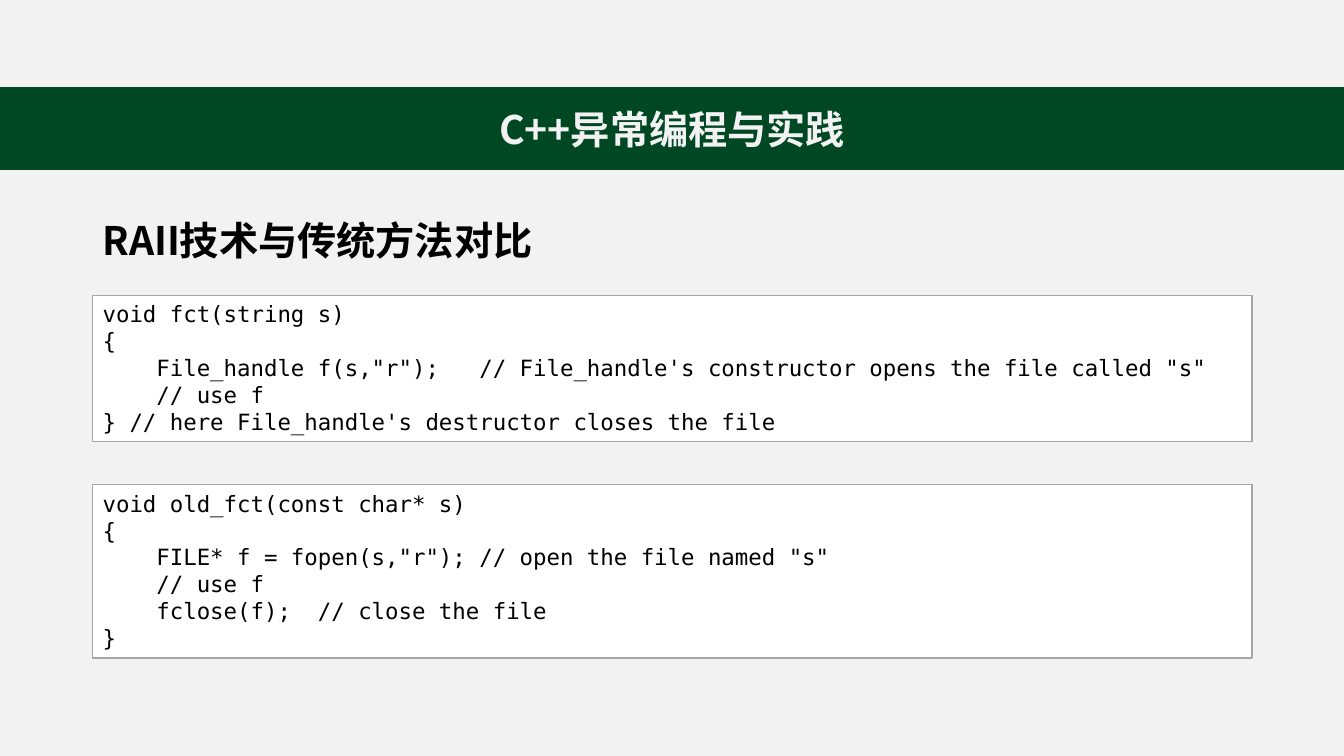
"""Build a slide that sets RAII beside the older way of handling files in C++."""
from lxml import etree
from pptx import Presentation, util as u
from pptx.dml.color import RGBColor
from pptx.enum import text as t
from pptx.oxml.ns import qn

WIDE, HIGH = u.Inches(13.33), u.Inches(7.5)
GREEN = RGBColor(0x00, 0x47, 0x23)
PALE = RGBColor(0xF2, 0xF2, 0xF2)
GREY = RGBColor(0xA6, 0xA6, 0xA6)
WHITE = RGBColor(0xFF, 0xFF, 0xFF)
BLACK = RGBColor(0x00, 0x00, 0x00)

LEFT, SPAN = 6.9, 86.25
HEAD = {"name": "Noto Sans CJK SC", "size": u.Pt(28), "bold": True}
MONO = {"name": "DejaVu Sans Mono", "size": u.Pt(16), "bold": False}
FRAME = {"word_wrap": True, "auto_size": t.MSO_AUTO_SIZE.NONE}

NEW_CODE = """void fct(string s)
{
    File_handle f(s,"r");   // File_handle's constructor opens the file called "s"
    // use f
} // here File_handle's destructor closes the file"""

OLD_CODE = """void old_fct(const char* s)
{
    FILE* f = fopen(s,"r"); // open the file named "s"
    // use f
    fclose(f);  // close the file
}"""


def place(left, top, width, height):
    """Turn percentages of the slide into a left, top, width and height."""
    return [int(side * part / 100) for side, part in
            zip((WIDE, HIGH, WIDE, HIGH), (left, top, width, height))]


def assign(item, values):
    """Set each named attribute of an item."""
    for name, value in values.items():
        setattr(item, name, value)


def paint(shape, fill, line):
    """Give a shape a solid fill and a one-point outline."""
    shape.fill.solid()
    shape.fill.fore_color.rgb = fill
    shape.line.color.rgb = line
    shape.line.width = u.Pt(1)


def write(shape, words, style, color, align, **frame):
    """Fill a shape with one formatted paragraph for each line of words."""
    body = shape.text_frame
    assign(body, {**FRAME, **frame})
    for row, line in enumerate(words.split("\n")):
        para = body.add_paragraph() if row else body.paragraphs[0]
        para.alignment = align
        run = para.add_run()
        run.text = line
        run.font.color.rgb = color
        assign(run.font, style)
        east = etree.SubElement(run.font._element, qn("a:ea"))
        east.set("typeface", style["name"])


def add_band(slide, words, *box):
    """Turn the title placeholder into a full-width band."""
    band = slide.shapes.title
    assign(band, dict(zip(("left", "top", "width", "height"), place(*box))))
    paint(band, GREEN, GREEN)
    write(band, words, HEAD, PALE, t.PP_ALIGN.CENTER,
          vertical_anchor=t.MSO_ANCHOR.MIDDLE)


def add_topic(slide, words, top, height):
    """Add the heading above the code."""
    topic = slide.shapes.add_textbox(*place(LEFT, top, SPAN, height))
    write(topic, words, HEAD, BLACK, t.PP_ALIGN.LEFT)
    topic.text_frame.paragraphs[0].line_spacing = 1.2


def add_code(slide, code, top, height):
    """Add a framed code listing."""
    panel = slide.shapes.add_textbox(*place(LEFT, top, SPAN, height))
    paint(panel, WHITE, GREY)
    write(panel, code, MONO, BLACK, t.PP_ALIGN.LEFT,
          auto_size=t.MSO_AUTO_SIZE.SHAPE_TO_FIT_TEXT)


def main():
    """Build and save the slide."""
    deck = Presentation()
    assign(deck, {"slide_width": WIDE, "slide_height": HIGH})
    slide = deck.slides.add_slide(deck.slide_layouts[5])
    back = slide.background.fill
    back.solid()
    back.fore_color.rgb = PALE
    add_band(slide, "C++异常编程与实践", 0, 11.6, 100, 10.8)
    add_topic(slide, "RAII技术与传统方法对比", 26.67, 10.5)
    add_code(slide, NEW_CODE, 39.07, 19.33)
    add_code(slide, OLD_CODE, 64.13, 22.93)
    deck.save("out.pptx")


if __name__ == "__main__":
    main()
